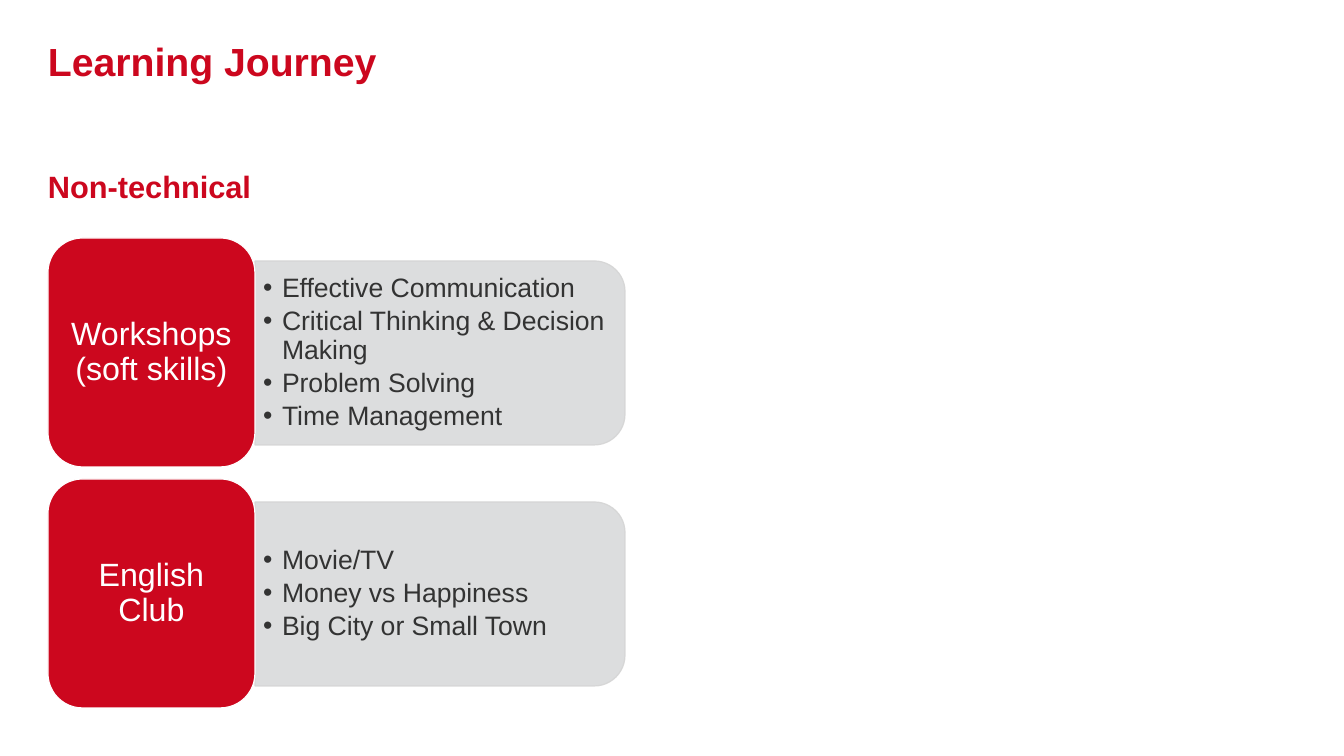
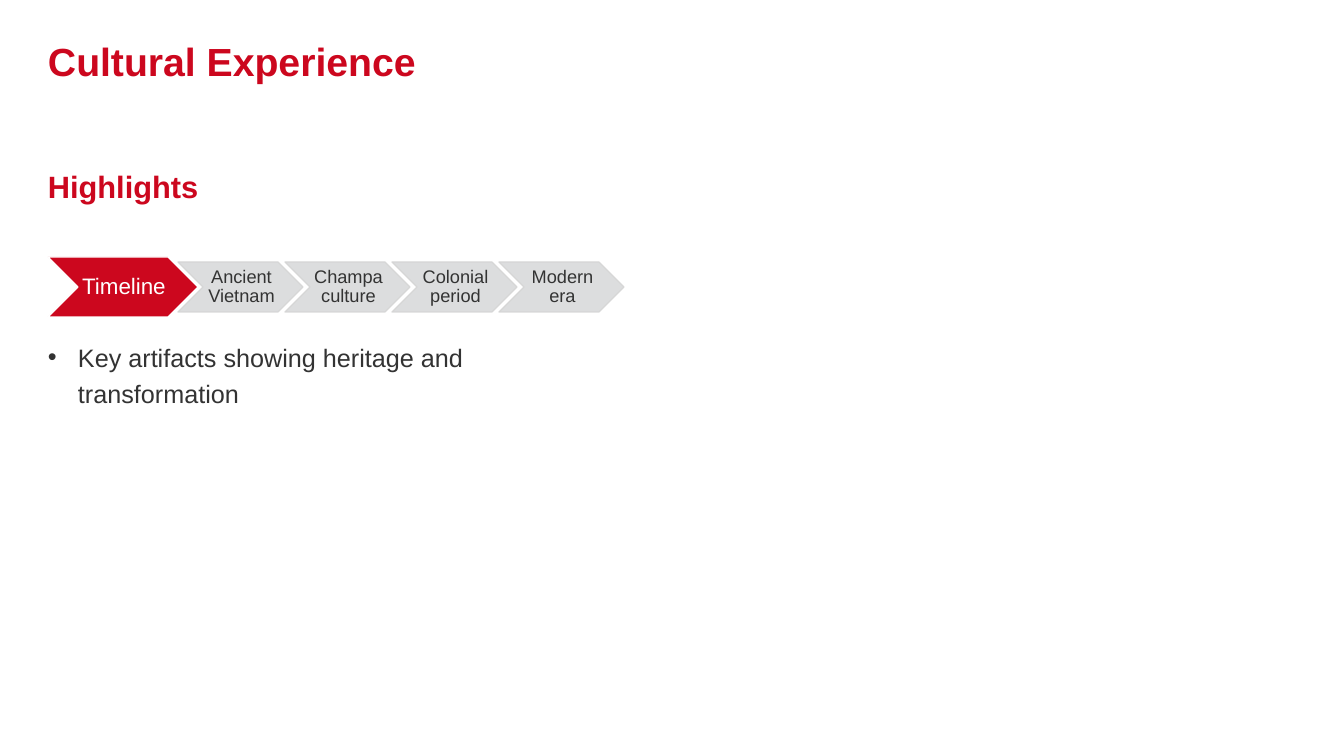
from pptx import Presentation
from pptx.dml.color import RGBColor
from pptx.enum.shapes import MSO_SHAPE as Shape
from pptx.enum.text import MSO_ANCHOR as Anchor, MSO_AUTO_SIZE as AutoSize, PP_ALIGN as Align
from pptx.oxml.ns import qn
from pptx.util import Pt
from lxml.etree import SubElement

PX = 9071  # EMU in one px
FONT = "Arial"
RED, WHITE, INK = "CC071E", "FFFFFF", "333333"
GREY, GREY_EDGE = "D9DADB", "D5D5D5"
color = RGBColor.from_string


def write(shape, lines, size, ink, bold=False, align=Align.LEFT, anchor=Anchor.MIDDLE,
          insets=(0, 0, 0, 0), spacing=None, after=0, hang=0):
    """Fill a shape with paragraphs; a hang above zero makes them bullets."""
    frame = shape.text_frame
    frame.word_wrap = True
    frame.auto_size = AutoSize.NONE
    frame.vertical_anchor = anchor
    (frame.margin_left, frame.margin_top,
     frame.margin_right, frame.margin_bottom) = [inset * PX for inset in insets]
    for index, line in enumerate(lines):
        para = frame.add_paragraph() if index else frame.paragraphs[0]
        if hang:
            props = para._p.get_or_add_pPr()
            props.set("marL", str(hang * PX))
            props.set("indent", str(-hang * PX))
            SubElement(props, qn("a:buFont"), typeface=FONT)
            SubElement(props, qn("a:buChar"), char="•")
        para.alignment = align
        para.line_spacing = spacing
        para.space_after = Pt(after)
        span = para.add_run()
        span.text = line
        span.font.name = FONT
        span.font.size = Pt(size)
        span.font.bold = bold
        span.font.color.rgb = color(ink)


def draw(page, kind, at, fill, edge, opacity=100):
    """Add a filled preset shape with a thin outline."""
    shape = page.shapes.add_shape(kind, *[length * PX for length in at])
    shape.shadow.inherit = False
    shape.fill.solid()
    shape.fill.fore_color.rgb = color(fill)
    shape.line.color.rgb = color(edge)
    shape.line.width = Pt(0.85)
    if opacity < 100:
        for tint in shape._element.spPr.iter(qn("a:srgbClr")):
            SubElement(tint, qn("a:alpha"), val=str(opacity * 1000))
    return shape


deck = Presentation()
deck.slide_width, deck.slide_height = 1344 * PX, 756 * PX
LEFT, COLUMN = 48, 577

# Title and subheading of every page
pages = []
for title, subheading in [("Learning Journey", "Non-technical"),
                          ("Cultural Experience", "Highlights")]:
    page = deck.slides.add_slide(deck.slide_layouts[5])
    heading = page.shapes.title
    heading.left, heading.top = LEFT * PX, 0
    heading.width, heading.height = 1072 * PX, 121 * PX
    write(heading, [title], 28, RED, bold=True)
    box = page.shapes.add_textbox(LEFT * PX, 168 * PX, COLUMN * PX, 37 * PX)
    write(box, [subheading], 22, RED, bold=True, anchor=Anchor.TOP)
    pages.append(page)
journey, culture = pages

# Learning Journey: a red label with a grey panel in each row
LABEL_WIDTH, LABEL_HEIGHT = 207, 229
PANEL_WIDTH, PANEL_HEIGHT = 370, 184
ROW_TOP, ROW_STEP = 238, 241
rows = [
    ("Workshops (soft skills)", ["Effective Communication",
                                 "Critical Thinking & Decision Making",
                                 "Problem Solving", "Time Management"]),
    ("English Club", ["Movie/TV", "Money vs Happiness", "Big City or Small Town"]),
]
panel_left = LEFT + LABEL_WIDTH
turn = (PANEL_WIDTH - PANEL_HEIGHT) // 2  # shift that keeps the centre when rotated
for row, (name, topics) in enumerate(rows):
    top = ROW_TOP + row * ROW_STEP
    panel_top = top + 23
    panel = draw(journey, Shape.ROUND_2_SAME_RECTANGLE,
                 (panel_left + turn, panel_top - turn, PANEL_HEIGHT, PANEL_WIDTH),
                 GREY, GREY_EDGE, opacity=90)
    panel.rotation = 90
    box = journey.shapes.add_textbox(panel_left * PX, (panel_top + 9) * PX,
                                     360 * PX, 166 * PX)
    write(box, topics, 19, INK, insets=(8, 4, 8, 4), spacing=0.9, after=3, hang=19)
    label = draw(journey, Shape.ROUNDED_RECTANGLE,
                 (LEFT, top, LABEL_WIDTH, LABEL_HEIGHT), RED, WHITE)
    write(label, [name], 23, WHITE, align=Align.CENTER, insets=(10, 5, 10, 5), spacing=0.9)

# Cultural Experience: a red chevron leading the grey periods
CHEVRON_INSETS = (2, 1, 0, 1)
lead = draw(culture, Shape.CHEVRON, (LEFT, 257, 150, 60), RED, WHITE)
write(lead, ["Timeline"], 16, WHITE, align=Align.CENTER, insets=CHEVRON_INSETS, spacing=0.9)
periods = ["Ancient Vietnam", "Champa culture", "Colonial period", "Modern era"]
for index, period in enumerate(periods):
    chevron = draw(culture, Shape.CHEVRON, (178 + index * 107, 262, 125, 50),
                   GREY, GREY_EDGE, opacity=90)
    write(chevron, [period], 13, INK, align=Align.CENTER, insets=CHEVRON_INSETS, spacing=0.9)

# Note under the timeline
box = culture.shapes.add_textbox(LEFT * PX, 336 * PX, COLUMN * PX, 373 * PX)
write(box, ["Key artifacts showing heritage and transformation"], 18, INK,
      anchor=Anchor.TOP, spacing=1.2, after=6, hang=30)

deck.save("out.pptx")
